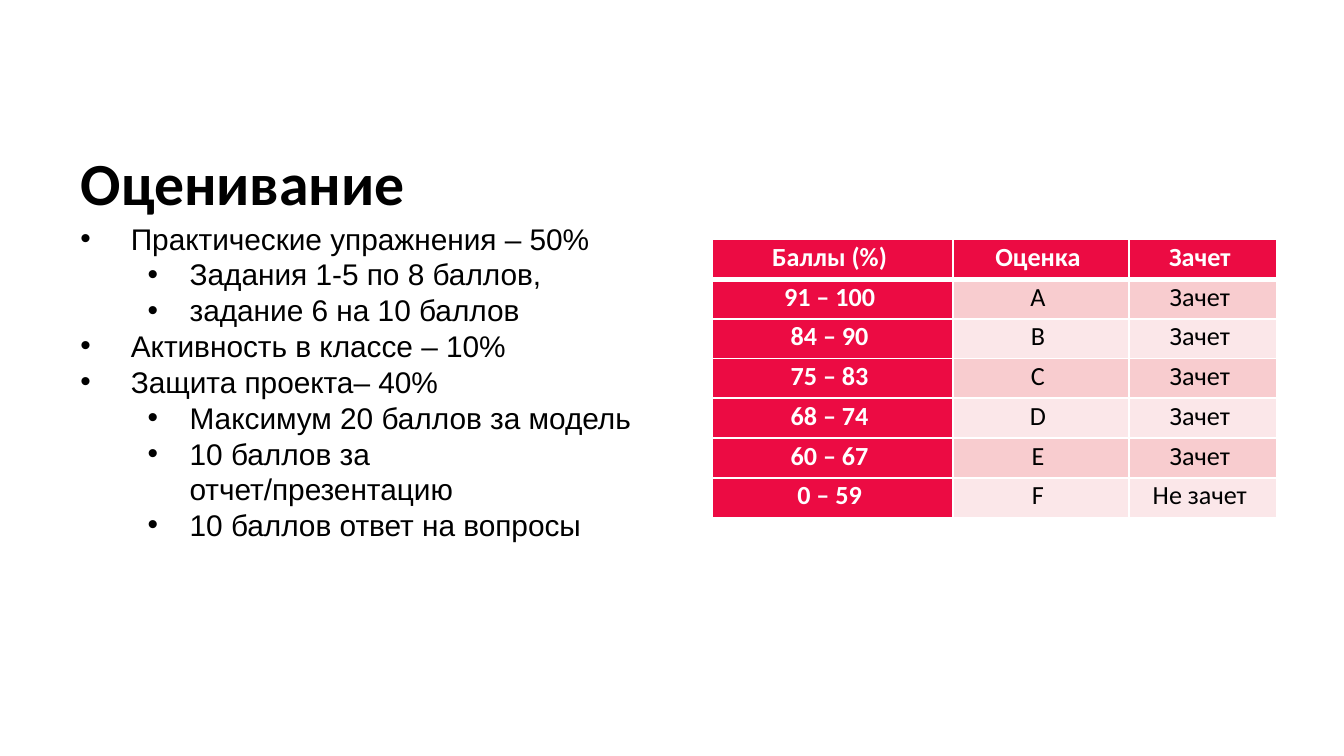
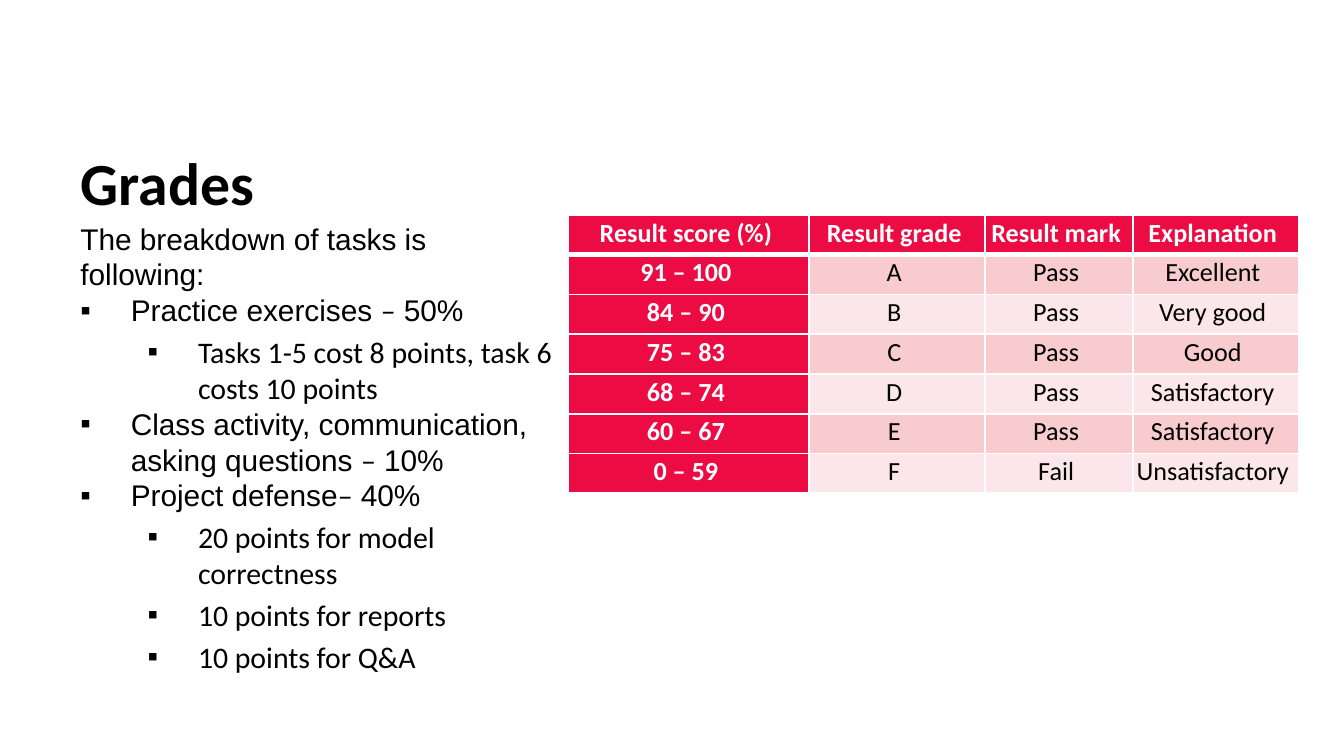
"""Builds two grading slides, one in Russian and one in English."""
from lxml import etree
from pptx import Presentation
from pptx.dml.color import RGBColor
from pptx.enum import text
from pptx.oxml import ns
from pptx.util import Pt

RED, ROSE, PALE, WHITE, BLACK = "EC0B43", "F8CCCF", "FBE7E9", "FFFFFF", "000000"
HEAD_FONT, BODY_FONT = "Calibri", "Arial"
NBSP = " "
COLS = (128.9, 94.3, 79.2, 88.6)
ROW_H = 21.3
SCORES = ("91 – 100", "84 – 90", "75 – 83", "68 – 74", "60 – 67", "0 – 59")
LETTERS = "ABCDEF"
DASH = ("–", HEAD_FONT)

SLIDES = [
    dict(
        title="Оценивание",
        bullet="•", width=313.2, sub_indent=(58.5, 22.5), sub_before=0,
        items=[
            (0, [("Практические упражнения – 50%", BODY_FONT)]),
            (1, [("Задания 1-5 по 8 баллов,", BODY_FONT)]),
            (1, [("задание 6 на 10 баллов", BODY_FONT)]),
            (0, [("Активность в классе – 10%", BODY_FONT)]),
            (0, [("Защита проекта– 40%", BODY_FONT)]),
            (1, [("Максимум 20 баллов за модель", BODY_FONT)]),
            (1, [("10 баллов за отчет/презентацию", BODY_FONT)]),
            (1, [("10 баллов ответ на вопросы", BODY_FONT)]),
        ],
        table_at=(381.6, 128.2),
        header=("Баллы (%)", "Оценка", "Зачет"),
        results=[("Зачет",)] * 5 + [("Не зачет",)],
    ),
    dict(
        title="Grades",
        bullet="▪", width=268.6, sub_indent=(63, 27), sub_before=3.2,
        items=[
            (None, [("The breakdown of tasks is following:", BODY_FONT)]),
            (0, [("Practice exercises ", BODY_FONT), DASH, (" 50%", BODY_FONT)]),
            (1, [("Tasks 1-5 cost 8 points, task 6 costs 10 points", HEAD_FONT)]),
            (0, [("Class activity, communication, asking questions ", BODY_FONT),
                 DASH, (" 10%", BODY_FONT)]),
            (0, [("Project defense", BODY_FONT), DASH, (" 40%", BODY_FONT)]),
            (1, [("20 points for model correctness", HEAD_FONT)]),
            (1, [("10 points for reports", HEAD_FONT)]),
            (1, [("10 points for Q&A", HEAD_FONT)]),
        ],
        table_at=(304.6, 115.2),
        header=("Result score (%)", "Result grade", "Result mark", "Explanation"),
        results=[("Pass", "Excellent"), ("Pass", "Very good"), ("Pass", "Good"),
                 ("Pass", "Satisfactory"), ("Pass", "Satisfactory"),
                 ("Fail", "Unsatisfactory")],
    ),
]


def rgb(color):
    return RGBColor.from_string(color)


def add_run(p, words, font, size, color=BLACK, bold=False):
    r = p.add_run()
    r.text = words
    r.font.name, r.font.size, r.font.bold = font, Pt(size), bold
    r.font.color.rgb = rgb(color)


def add_child(parent, tag, **attrs):
    child = etree.SubElement(parent, ns.qn(tag))
    for name, value in attrs.items():
        child.set(name, str(value))
    return child


def set_title(slide, words):
    sp = slide.shapes.title
    sp.left, sp.top, sp.width, sp.height = Pt(36), Pt(72.7), Pt(493.9), Pt(49)
    tf = sp.text_frame
    tf.vertical_anchor = text.MSO_ANCHOR.MIDDLE
    p = tf.paragraphs[0]
    p.alignment = text.PP_ALIGN.LEFT
    add_run(p, words, HEAD_FONT, 32, bold=True)


def add_list(slide, data):
    sp = slide.shapes.add_textbox(Pt(36), Pt(114.5), Pt(data["width"]), Pt(239.8))
    tf = sp.text_frame
    tf.word_wrap = True
    for i, (level, runs) in enumerate(data["items"]):
        p = tf.add_paragraph() if i else tf.paragraphs[0]
        for words, font in runs:
            add_run(p, words, font, 16)
        if level is None:
            continue
        p.level = level
        p.space_before = Pt(data["sub_before"] if level else 0)
        margin, hang = data["sub_indent"] if level else (27, 27)
        pPr = p._p.get_or_add_pPr()
        pPr.set("marL", str(Pt(margin)))
        pPr.set("indent", str(-Pt(hang)))
        add_child(pPr, "a:buFont", typeface=BODY_FONT)
        add_child(pPr, "a:buChar", char=data["bullet"])


def set_borders(cell, row):
    tcPr = cell._tc.get_or_add_tcPr()
    widths = dict(L=1, R=1, T=3 if row == 1 else 1, B=3 if row == 0 else 1)
    for side, width in widths.items():
        ln = add_child(tcPr, "a:ln" + side, w=Pt(width))
        add_child(add_child(ln, "a:solidFill"), "a:srgbClr", val=WHITE)


def add_grades(slide, data):
    rows = [data["header"]]
    rows += [(s, g) + r for s, g, r in zip(SCORES, LETTERS, data["results"])]
    cols = COLS[:len(data["header"])]
    left, top = data["table_at"]
    table = slide.shapes.add_table(len(rows), len(cols), Pt(left), Pt(top),
                                   Pt(sum(cols)), Pt(ROW_H * len(rows))).table
    table.horz_banding = False
    for column, width in zip(table.columns, cols):
        column.width = Pt(width)
    for i, row in enumerate(rows):
        table.rows[i].height = Pt(ROW_H)
        for j, words in enumerate(row):
            cell = table.cell(i, j)
            strong = i == 0 or j == 0
            cell.margin_left = cell.margin_right = 0
            cell.margin_top = cell.margin_bottom = 0
            set_borders(cell, i)
            cell.fill.solid()
            cell.fill.fore_color.rgb = rgb(RED if strong else ROSE if i % 2 else PALE)
            p = cell.text_frame.paragraphs[0]
            p.alignment = text.PP_ALIGN.CENTER
            p.line_spacing, p.space_after = 1.07, Pt(8)
            add_run(p, words + NBSP, HEAD_FONT, 14, WHITE if strong else BLACK, strong)


def main():
    prs = Presentation()
    prs.slide_width, prs.slide_height = Pt(720), Pt(405)
    for data in SLIDES:
        slide = prs.slides.add_slide(prs.slide_layouts[5])
        set_title(slide, data["title"])
        add_grades(slide, data)
        add_list(slide, data)
    prs.save("out.pptx")


if __name__ == "__main__":
    main()
